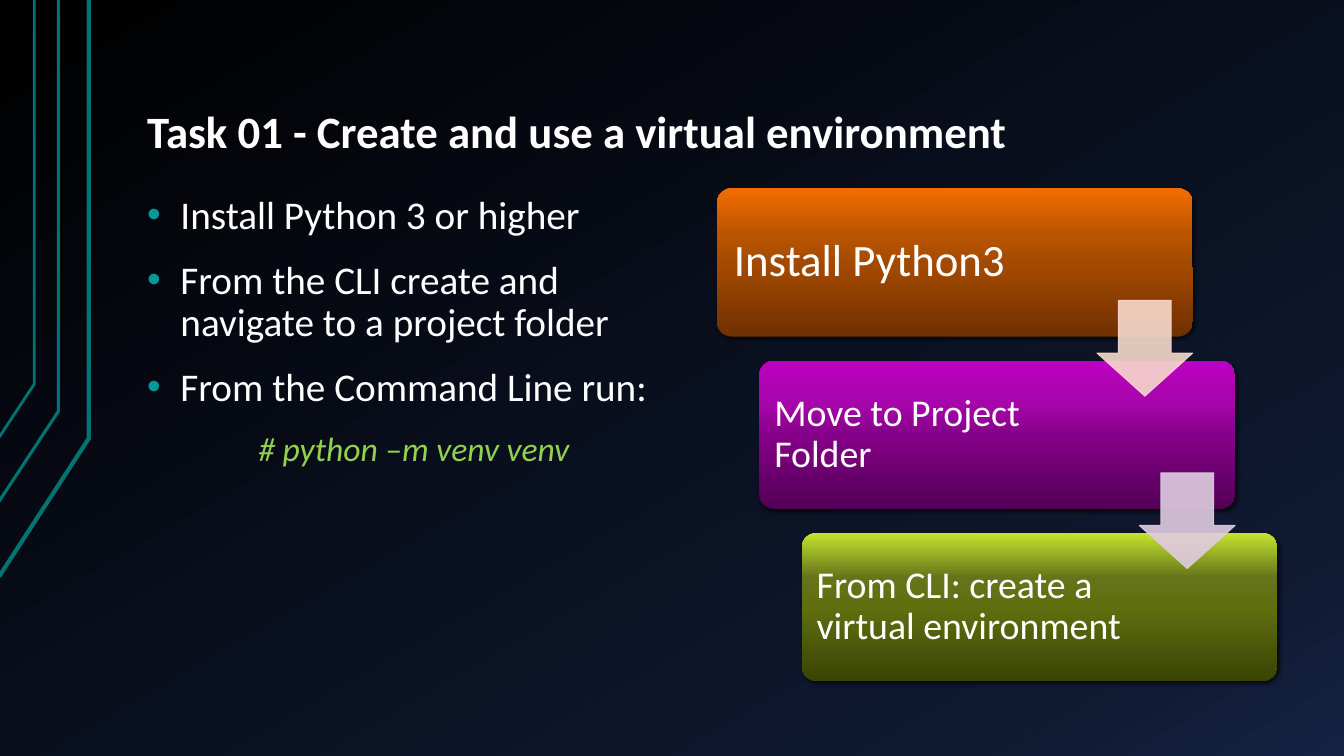
from dataclasses import dataclass
from typing import Any

import lxml.etree
import pptx
import pptx.dml.color
import pptx.enum.shapes
import pptx.enum.text
import pptx.oxml.ns
import pptx.util

PX = 9144  # EMU in one px, at 100 px to the inch
FONT = "Calibri"
COLORS = {
    "text": "FFFFFF",
    "bullet": "009999",
    "command": "92D050",
    "rail": "007373",
    "shadow": "000000",
}
BACKGROUND_STOPS = ((0, "000000"), (85, "0F1931"), (100, "142242"))
ALIGN = pptx.enum.text.PP_ALIGN
ANCHOR = pptx.enum.text.MSO_ANCHOR
SHAPE = pptx.enum.shapes.MSO_SHAPE
Stops = tuple[tuple[int, str], ...]


@dataclass(frozen=True)
class Rail:
    points: tuple[tuple[int, int], ...]
    width: float


@dataclass(frozen=True)
class Step:
    text: str
    size: int
    inset: int
    text_width: int
    stops: Stops
    arrow: str = ""


RAILS = (
    Rail(((-1, 572), (88, 435), (88, 0)), 3),
    Rail(((-2, 499), (58, 408), (58, 0)), 2.25),
    Rail(((-1, 434), (34, 381), (34, 0)), 2),
)
BULLETS = (
    "Install Python 3 or higher",
    "From the CLI create and navigate to a project folder",
    "From the Command Line run:",
)
COMMAND = "# python –m venv venv"
STEPS = (
    Step("Install Python3", 32, 13, 314,
         ((0, "703000"), (50, "A44A00"), (70, "BC5500"), (100, "F26D00")), "F7DACC"),
    Step("Move to Project Folder", 27, 11, 327,
         ((0, "520054"), (50, "850088"), (70, "A505A9"), (100, "BC00C0")), "E0CCE1"),
    Step("From CLI: create a virtual environment", 27, 11, 327,
         ((0, "394404"), (50, "5F6F0F"), (70, "65741A"), (100, "C4E32D"))),
)
STEP_LEFT, STEP_TOP, STEP_WIDTH, STEP_HEIGHT = 711, 187, 472, 147
STEP_SHIFT_X, STEP_SHIFT_Y = 42, 171
ARROW_SIZE = 95


def rgb(value: str) -> pptx.dml.color.RGBColor:
    return pptx.dml.color.RGBColor.from_string(value)


def box(left: int, top: int, width: int, height: int) -> tuple[int, ...]:
    return tuple(length * PX for length in (left, top, width, height))


def apply(target: Any, values: dict[str, Any]) -> None:
    for name, value in values.items():
        setattr(target, name, value)


def add_xml(parent: Any, tag: str, **attributes: Any) -> Any:
    return lxml.etree.SubElement(
        parent, pptx.oxml.ns.qn(tag), {name: str(value) for name, value in attributes.items()})


def set_gradient(fill: Any, owner: Any, stops: Stops, angle: int) -> None:
    """Fill with the stops; the angle runs clockwise in degrees."""
    fill.gradient()
    gradient = owner.find(".//" + pptx.oxml.ns.qn("a:gradFill"))
    for child in list(gradient):
        gradient.remove(child)
    stop_list = add_xml(gradient, "a:gsLst")
    for position, color in stops:
        stop = add_xml(stop_list, "a:gs", pos=position * 1000)
        add_xml(stop, "a:srgbClr", val=color)
    add_xml(gradient, "a:lin", ang=angle * 60000, scaled=0)


def add_shadow(shape: Any) -> None:
    effects = shape._element.spPr.find(pptx.oxml.ns.qn("a:effectLst"))
    point = pptx.util.Pt(1)
    shadow = add_xml(effects, "a:outerShdw", blurRad=3 * point, dist=2 * point,
                     dir=45 * 60000, algn="ctr", rotWithShape=0)
    color = add_xml(shadow, "a:srgbClr", val=COLORS["shadow"])
    add_xml(color, "a:alpha", val=60000)


def format_frame(frame: Any, anchor: Any, inset_x: int, inset_y: int) -> None:
    apply(frame, {
        "word_wrap": True, "auto_size": pptx.enum.text.MSO_AUTO_SIZE.NONE,
        "vertical_anchor": anchor,
        "margin_left": inset_x * PX, "margin_right": inset_x * PX,
        "margin_top": inset_y * PX, "margin_bottom": inset_y * PX,
    })


def write(paragraph: Any, text: str, size: int, color: str = COLORS["text"],
          alignment: Any = ALIGN.LEFT, before: int = 0, **font: Any) -> None:
    apply(paragraph, {"alignment": alignment, "line_spacing": 0.9,
                      "space_before": pptx.util.Pt(before)})
    run = paragraph.add_run()
    run.text = text
    apply(run.font, {"name": FONT, "size": pptx.util.Pt(size), **font})
    run.font.color.rgb = rgb(color)


def set_bullet(paragraph: Any, indent: int, shown: bool) -> None:
    properties = paragraph._p.get_or_add_pPr()
    properties.set("marL", str(indent * PX))
    properties.set("indent", str(-indent * PX))
    if not shown:
        add_xml(properties, "a:buNone")
        return
    add_xml(add_xml(properties, "a:buClr"), "a:srgbClr", val=COLORS["bullet"])
    add_xml(properties, "a:buFont", typeface="Arial")
    add_xml(properties, "a:buChar", char="•")


def place(shape: Any, left: int, top: int, width: int, height: int) -> None:
    apply(shape, dict(zip(("left", "top", "width", "height"), box(left, top, width, height))))


def add_rail(slide: Any, rail: Rail) -> None:
    builder = slide.shapes.build_freeform(*rail.points[0], scale=PX)
    builder.add_line_segments(rail.points[1:], close=False)
    shape = builder.convert_to_shape()
    shape.shadow.inherit = False
    shape.fill.background()
    shape.line.color.rgb = rgb(COLORS["rail"])
    shape.line.width = pptx.util.Pt(rail.width)


def add_step(slide: Any, step: Step, left: int, top: int) -> None:
    card = slide.shapes.add_shape(
        SHAPE.ROUNDED_RECTANGLE, *box(left, top, STEP_WIDTH, STEP_HEIGHT))
    card.adjustments[0] = 0.1
    card.shadow.inherit = False
    card.line.fill.background()
    set_gradient(card.fill, card._element, step.stops, 270)
    add_shadow(card)
    label = slide.shapes.add_textbox(*box(left + 4, top + 4, step.text_width, STEP_HEIGHT - 9))
    format_frame(label.text_frame, ANCHOR.MIDDLE, step.inset, step.inset)
    write(label.text_frame.paragraphs[0], step.text, step.size)


def add_arrow(slide: Any, color: str, left: int, top: int) -> None:
    arrow = slide.shapes.add_shape(SHAPE.DOWN_ARROW, *box(left, top, ARROW_SIZE, ARROW_SIZE))
    arrow.adjustments[0], arrow.adjustments[1] = 0.55, 0.45
    arrow.shadow.inherit = False
    arrow.fill.solid()
    arrow.fill.fore_color.rgb = rgb(color)
    arrow.line.color.rgb = rgb(color)
    arrow.line.width = pptx.util.Pt(0.75)
    for shade in arrow._element.spPr.iter(pptx.oxml.ns.qn("a:srgbClr")):
        add_xml(shade, "a:alpha", val=90000)


def main() -> None:
    presentation = pptx.Presentation()
    apply(presentation, {"slide_width": 1333 * PX, "slide_height": 750 * PX})
    slide = presentation.slides.add_slide(presentation.slide_layouts[1])
    set_gradient(slide.background.fill, slide._element, BACKGROUND_STOPS, 60)

    title, body = slide.placeholders
    place(title, 133, 30, 1133, 134)
    format_frame(title.text_frame, ANCHOR.BOTTOM, 13, 7)
    write(title.text_frame.paragraphs[0], "Task 01 - Create and use a virtual environment",
          32, bold=True)
    place(body, 133, 187, 555, 488)
    format_frame(body.text_frame, ANCHOR.TOP, 13, 7)
    for index, text in enumerate(BULLETS):
        frame = body.text_frame
        paragraph = frame.add_paragraph() if index else frame.paragraphs[0]
        write(paragraph, text, 28, before=16)
        set_bullet(paragraph, 33, True)
    command = body.text_frame.add_paragraph()
    write(command, COMMAND, 24, COLORS["command"], ALIGN.CENTER, 16, italic=True)
    set_bullet(command, 0, False)

    for rail in RAILS:
        add_rail(slide, rail)
    corners = [(STEP_LEFT + STEP_SHIFT_X * index, STEP_TOP + STEP_SHIFT_Y * index)
               for index in range(len(STEPS))]
    for step, corner in zip(STEPS, corners):
        add_step(slide, step, *corner)
    for step, (left, top) in zip(STEPS, corners):
        if step.arrow:
            add_arrow(slide, step.arrow, left + STEP_WIDTH - ARROW_SIZE, top + 111)
    presentation.save("out.pptx")


if __name__ == "__main__":
    main()
